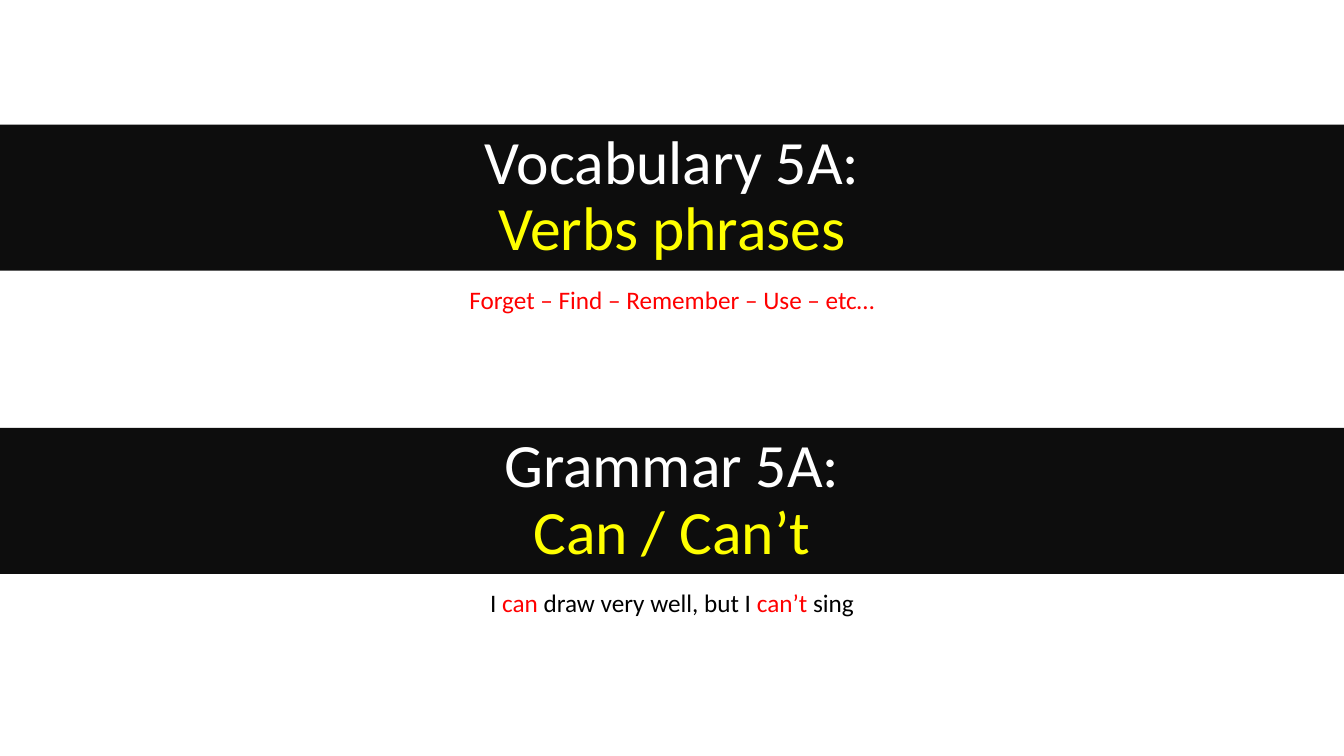
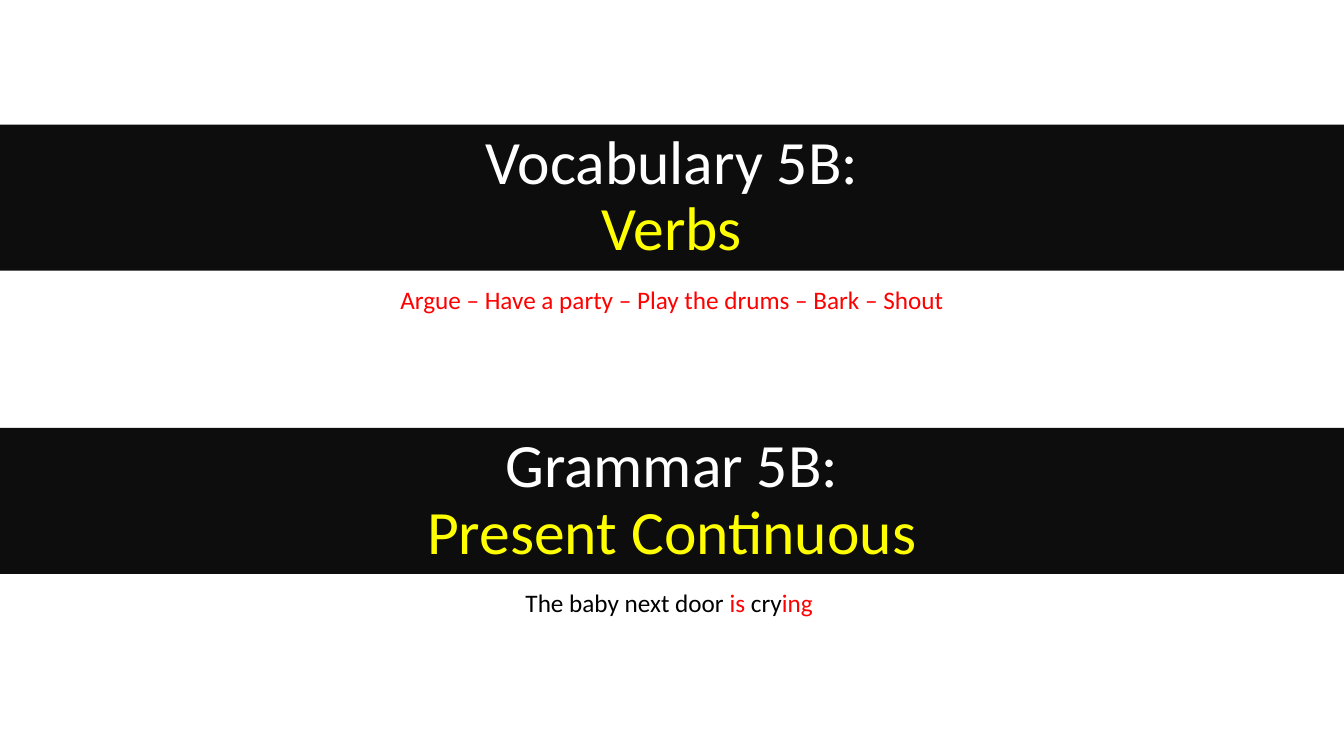
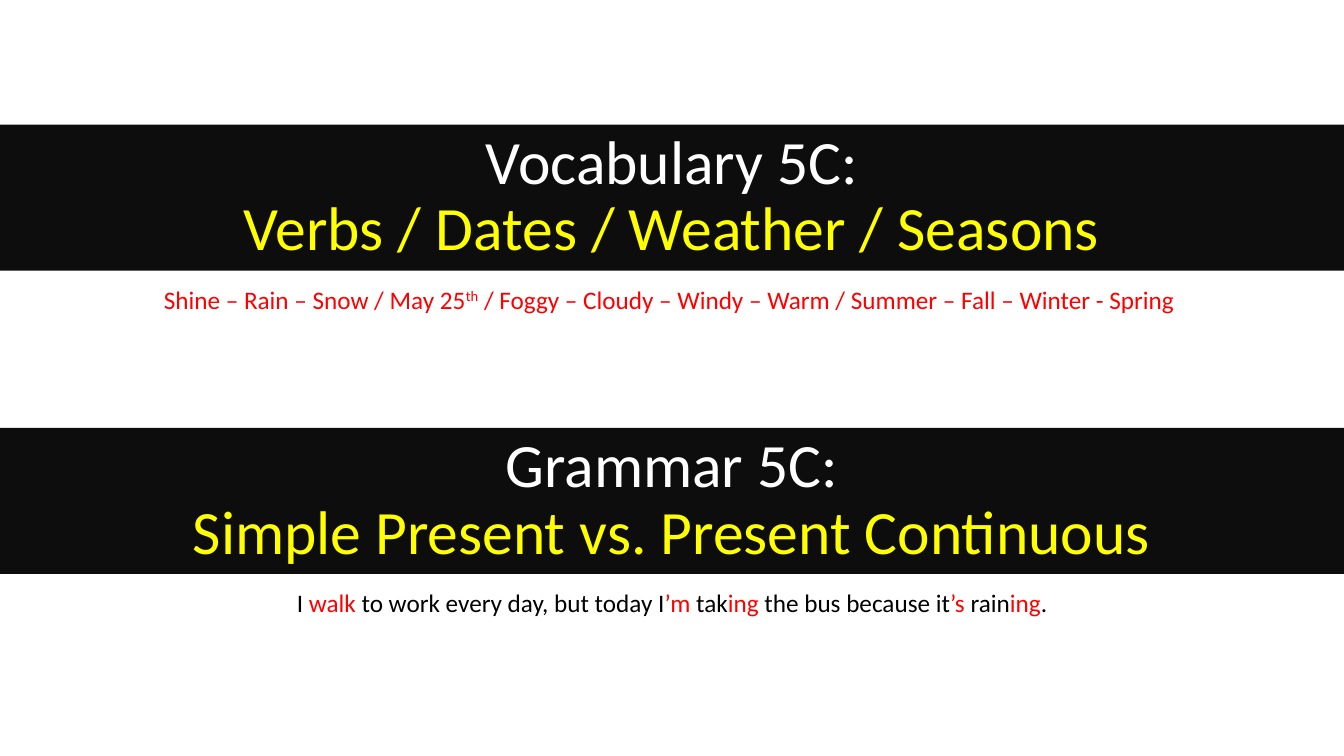
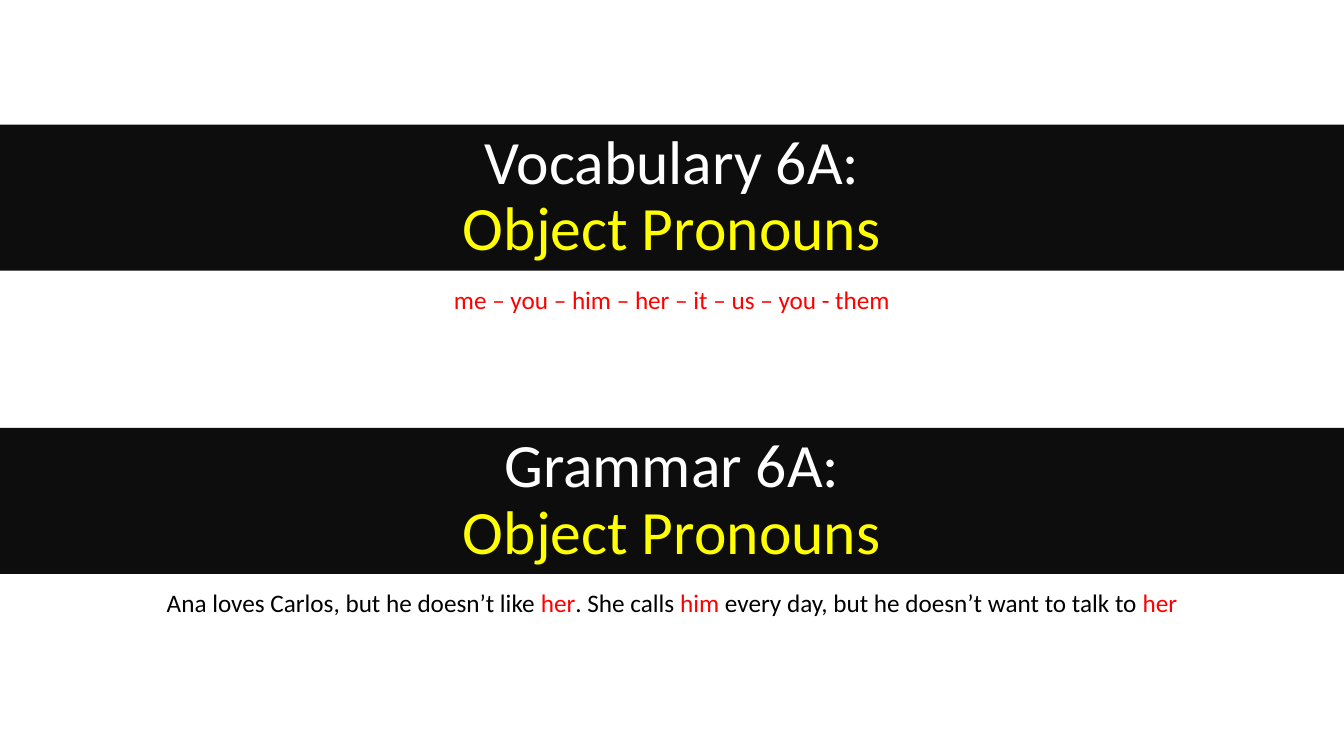
"""Build four lesson slides, each with a vocabulary and a grammar band."""
from pptx import Presentation
from pptx.dml.color import RGBColor
from pptx.enum.shapes import MSO_SHAPE
from pptx.enum.text import MSO_ANCHOR, MSO_AUTO_SIZE, PP_ALIGN
from pptx.util import Cm, Pt

HUES = {"band": "0D0D0D", "head": "FFFFFF", "topic": "FFFF00",
        "key": "FF0000", "body": "000000"}
FONT = "Calibri"

# Bars split a note: every second piece is raised (words) or red (sample).
UNITS = [
    {"code": "5A", "vocab": "Verbs phrases", "gram": "Can / Can’t",
     "words": "Forget – Find – Remember – Use – etc…",
     "sample": "I |can| draw very well, but I |can’t| sing"},
    {"code": "5B", "vocab": "Verbs", "gram": "Present Continuous",
     "words": "Argue – Have a party – Play the drums – Bark – Shout",
     "sample": "The baby next door |is| cry|ing "},
    {"code": "5C", "vocab": "Verbs / Dates / Weather / Seasons",
     "gram": "Simple Present vs. Present Continuous",
     "words": "Shine – Rain – Snow / May 25|th| / Foggy – Cloudy – Windy – Warm"
              " / Summer – Fall – Winter - Spring ",
     "sample": "I |walk| to work every day, but today I|’m| tak|ing"
               "| the bus because it|’s| rain|ing|."},
    {"code": "6A", "vocab": "Object Pronouns", "gram": "Object Pronouns",
     "words": "me – you – him – her – it – us – you - them",
     "sample": "Ana loves Carlos, but he doesn’t like |her|. She calls |him"
               "| every day, but he doesn’t want to talk to |her"},
]

WIDE, HIGH = Cm(33.87), Cm(19.05)
STEP = Cm(7.64)
BAND_TOP, BAND_HIGH = Cm(3.14), Cm(3.68)
NOTE_TOP, NOTE_HIGH = Cm(7.04), Cm(1.03)


def style(run, size, hue):
    run.font.name = FONT
    run.font.size = Pt(size)
    run.font.color.rgb = RGBColor.from_string(HUES[hue])


def place(shape, top, high):
    shape.left, shape.top, shape.width, shape.height = 0, top, WIDE, high


def fill_band(shape, row, text):
    place(shape, BAND_TOP + row * STEP, BAND_HIGH)
    shape.fill.solid()
    shape.fill.fore_color.rgb = RGBColor.from_string(HUES["band"])
    shape.line.fill.background()
    frame = shape.text_frame
    frame.text = text
    frame.word_wrap = True
    frame.auto_size = MSO_AUTO_SIZE.NONE
    frame.vertical_anchor = MSO_ANCHOR.MIDDLE
    for para in frame.paragraphs:
        para.alignment = PP_ALIGN.CENTER
        para.line_spacing = 0.9
    runs = [run for para in frame.paragraphs for run in para.runs]
    for run, hue in zip(runs, ("head", "topic")):
        style(run, 44, hue)


def add_note(slide, row, text, hues, raised=False):
    box = slide.shapes.add_textbox(0, NOTE_TOP + row * STEP, WIDE, NOTE_HIGH)
    frame = box.text_frame
    frame.word_wrap = True
    frame.auto_size = MSO_AUTO_SIZE.SHAPE_TO_FIT_TEXT
    para = frame.paragraphs[0]
    para.alignment = PP_ALIGN.CENTER
    for spot, piece in enumerate(text.split("|")):
        run = para.add_run()
        run.text = piece
        style(run, 18, hues[spot % 2])
        if raised and spot % 2:
            run.font._element.set("baseline", "30000")


def add_unit(deck, unit):
    slide = deck.slides.add_slide(deck.slide_layouts[5])
    fill_band(slide.shapes.title, 0,
              f"Vocabulary {unit['code']}:\v{unit['vocab']}")
    band = slide.shapes.add_shape(MSO_SHAPE.RECTANGLE, 0, 0, WIDE, BAND_HIGH)
    band.shadow.inherit = False
    fill_band(band, 1, f"Grammar {unit['code']}:\n{unit['gram']}")
    add_note(slide, 0, unit["words"], ("key", "key"), raised=True)
    add_note(slide, 1, unit["sample"], ("body", "key"))


def main():
    deck = Presentation()
    deck.slide_width, deck.slide_height = WIDE, HIGH
    for unit in UNITS:
        add_unit(deck, unit)
    deck.save("out.pptx")


if __name__ == "__main__":
    main()
